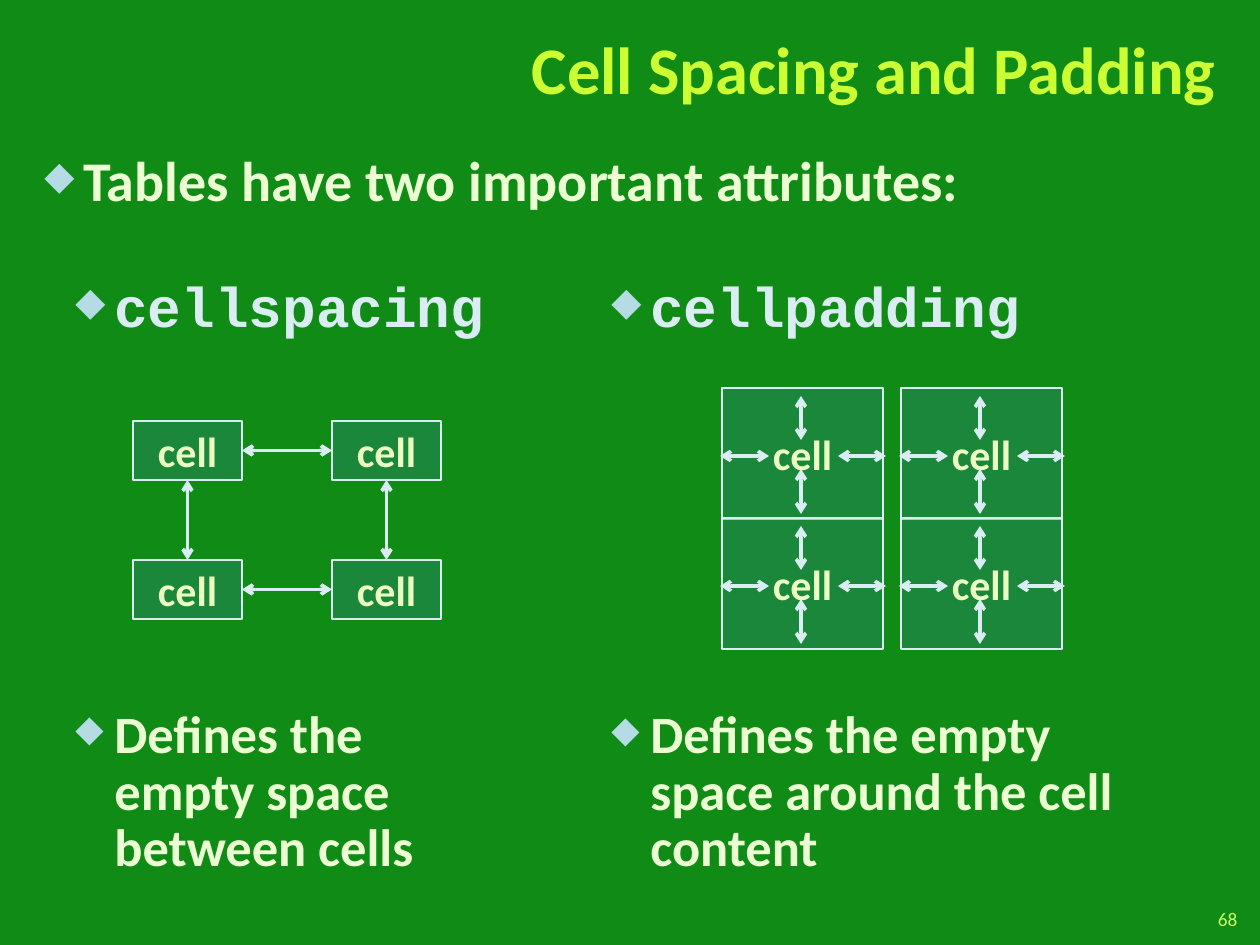
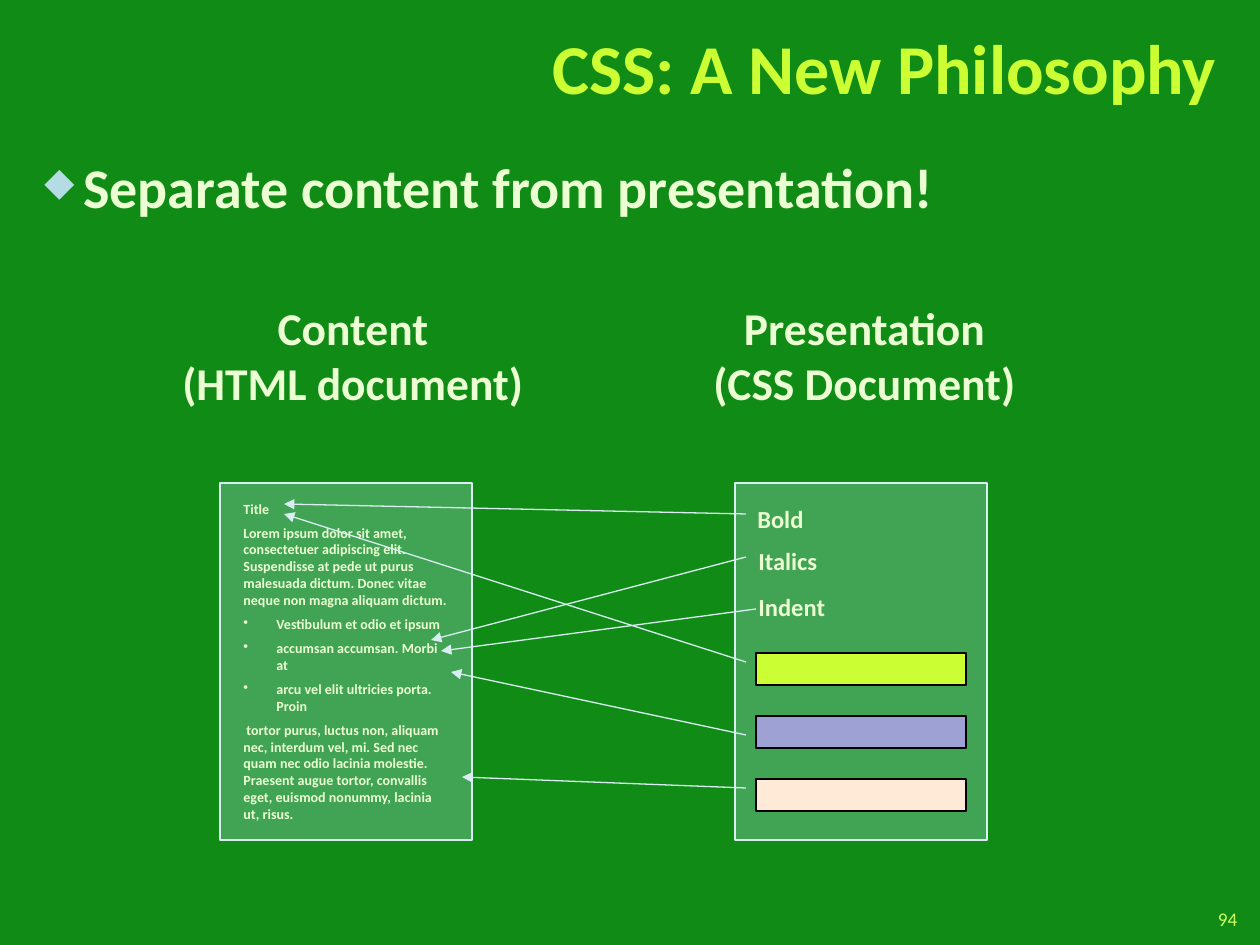
from dataclasses import dataclass
from itertools import product

from lxml import etree
from pptx import Presentation, util as u
from pptx.dml import color
from pptx.enum import shapes, text
from pptx.oxml import ns

PX = 914400 / 126


@dataclass(frozen=True)
class Theme:
    """Colours, fonts and type sizes of the deck."""
    back: str = "108C16"
    title: str = "CCFF33"
    page: str = "CCFF66"
    body: str = "EBFFD2"
    cell: str = "EBFFC2"
    pale: str = "DAEDF2"
    mark: str = "B5DBE5"
    teal: str = "337D8F"
    lilac: str = "9DA1D4"
    peach: str = "FFEAD8"
    black: str = "000000"
    sans: str = "Calibri"
    mono: str = "Courier New"
    lead: int = 32
    note: int = 30
    head: int = 26
    inner: int = 24
    label: int = 14
    foot: int = 11
    tiny: int = 8


T = Theme()
LIST = dict(bullet="◆", hang=39, line_spacing=0.9, space_after=u.Pt(6))
MID = text.MSO_ANCHOR.MIDDLE
CENTER, RIGHT = text.PP_ALIGN.CENTER, text.PP_ALIGN.RIGHT


def px(n):
    """Turn pixels into EMU."""
    return u.Emu(round(n * PX))


def rgb(code):
    """Make a colour from its hex code."""
    return color.RGBColor.from_string(code)


def put(item, vals):
    """Set each attribute named in a dict."""
    for name, val in vals.items():
        setattr(item, name, val)


def sub(node, tag, **attrs):
    """Append a drawing element and return it."""
    return etree.SubElement(node, ns.qn(f"a:{tag}"), attrs)


def mark(para, char, hang, tint):
    """Give a paragraph a hanging bullet."""
    props = para._p.get_or_add_pPr()
    put_in = {"marL": px(hang), "indent": -px(hang)}
    for name, val in put_in.items():
        props.set(name, str(int(val)))
    if char == "◆":
        sub(sub(props, "buClr"), "srgbClr", val=tint)
        sub(props, "buSzPct", val="70000")
    sub(props, "buChar", char=char)


def write(para, words, size, ink=T.body, face=T.sans, bold=True,
          bullet=None, hang=0, indent=0, **form):
    """Fill a paragraph with one formatted run."""
    if bullet:
        mark(para, bullet, hang, T.mark)
    elif indent:
        para._p.get_or_add_pPr().set("indent", str(int(px(indent))))
    put(para, form)
    run = para.add_run()
    run.text = words
    put(run.font, dict(size=u.Pt(size), name=face, bold=bold))
    run.font.color.rgb = rgb(ink)


def box(slide, area, paras, wrap=True, **frame):
    """Add a text box from (words, size, format) entries."""
    body = slide.shapes.add_textbox(*map(px, area)).text_frame
    put(body, dict(word_wrap=wrap, **frame))
    for i, (words, size, form) in enumerate(paras):
        para = body.add_paragraph() if i else body.paragraphs[0]
        write(para, words, size, **form)


def rect(slide, area, fill, edge=T.pale, alpha=None):
    """Add an outlined rectangle, see-through if alpha is given."""
    shape = slide.shapes.add_shape(shapes.MSO_SHAPE.RECTANGLE, *map(px, area))
    shape.shadow.inherit = False
    shape.fill.solid()
    shape.fill.fore_color.rgb = rgb(fill)
    if alpha:
        tint = shape.element.spPr.find(ns.qn("a:solidFill"))[0]
        sub(tint, "alpha", val=str(alpha * 1000))
    shape.line.color.rgb = rgb(edge)
    shape.line.width = u.Pt(0.75)
    return shape


def cell(slide, area, **pads):
    """Add a table cell with its word in the middle."""
    shape = rect(slide, area, T.teal, alpha=30)
    put(shape.text_frame, dict(word_wrap=False, vertical_anchor=MID, **pads))
    write(shape.text_frame.paragraphs[0], "cell", T.inner, T.cell,
          alignment=CENTER)
    return shape


def arrow(slide, ends, width, tail, head=None):
    """Add a straight line with arrowheads."""
    line = slide.shapes.add_connector(
        shapes.MSO_CONNECTOR.STRAIGHT, *map(px, ends))
    line.line.color.rgb = rgb(T.pale)
    line.line.width = u.Pt(width)
    props = line.element.spPr
    edge = props.find(ns.qn("a:ln"))
    if head:
        sub(edge, "headEnd", type=head)
    sub(edge, "tailEnd", type=tail)
    sub(props, "effectLst")
    return line


def join(slide, start, side, end, port):
    """Link two cells with a double arrow."""
    line = arrow(slide, (0, 0, 9, 9), 2, "arrow", "arrow")
    line.begin_connect(start, side)
    line.end_connect(end, port)


def page(deck, title, size, number):
    """Add a slide with its title and page number."""
    slide = deck.slides.add_slide(deck.slide_layouts[5])
    head = slide.shapes.title
    put(head, dict(zip(("left", "top", "width", "height"),
                       map(px, (252, 10, 977, 126)))))
    put(head.text_frame, dict(word_wrap=True, vertical_anchor=MID,
                              auto_size=text.MSO_AUTO_SIZE.NONE))
    write(head.text_frame.paragraphs[0], title, size, T.title,
          alignment=RIGHT, line_spacing=u.Pt(40))
    foot = dict(ink=T.page, bold=False, alignment=RIGHT)
    box(slide, (1187, 903, 63, 32), [(number, T.foot, foot)],
        vertical_anchor=MID)
    return slide


def spaced(slide):
    """Draw four cells with arrows in the gaps between them."""
    grid = {(r, c): cell(slide, (133 + 199 * c, 421 + 139 * r, 109, 59))
            for r, c in product(range(2), repeat=2)}
    for i in range(2):
        join(slide, grid[i, 0], 3, grid[i, 1], 1)
        join(slide, grid[0, i], 2, grid[1, i], 0)


def padded(slide):
    """Draw four cells with arrows around each word."""
    pads = dict(margin_left=px(49), margin_right=px(49),
                margin_top=px(39), margin_bottom=px(39))
    spans = ((79, 81, 79, 126), (-2, 68, 47, 68),
             (116, 68, 164, 68), (79, 8, 79, 52))
    for c, r in product(range(2), repeat=2):
        x, y = 722 + 179 * c, 388 + 130 * r
        cell(slide, (x, y, 161, 131), **pads)
        for x1, y1, x2, y2 in spans:
            arrow(slide, (x + x1, y + y1, x + x2, y + y2), 2,
                  "arrow", "arrow")


def tables(deck):
    """Build the slide on cell spacing and padding."""
    slide = page(deck, "Cell Spacing and Padding", 38, "68")
    box(slide, (32, 147, 1197, 74),
        [("Tables have two important attributes:", T.lead, LIST)])
    columns = (
        ((599, 273, 588, 609), "cellpadding",
         "Defines the empty space around the cell content"),
        ((63, 273, 462, 630), "cellspacing",
         "Defines the empty space between cells"),
    )
    for area, term, sense in columns:
        box(slide, area, [
            (term, T.lead, dict(LIST, ink=T.pale, face=T.mono)),
            (sense, T.note, dict(LIST, space_before=u.Pt(204.5)))])
    spaced(slide)
    padded(slide)


def sample(slide):
    """Write the sample document."""
    gap = dict(space_before=u.Pt(4.2))
    item = dict(gap, bullet="•", hang=33)
    paras = (
        ("Title", {}),
        ("Lorem ipsum dolor sit amet, consectetuer adipiscing elit. "
         "Suspendisse at pede ut purus malesuada dictum. Donec vitae "
         "neque non magna aliquam dictum.", gap),
        ("Vestibulum et odio et ipsum", item),
        ("accumsan accumsan. Morbi at", item),
        ("arcu vel elit ultricies porta. Proin", item),
        ("tortor purus, luctus non, aliquam nec, interdum vel, mi. Sed nec "
         "quam nec odio lacinia molestie. Praesent augue tortor, convallis "
         "eget, euismod nonummy, lacinia ut, risus.", dict(gap, indent=3)),
    )
    box(slide, (231, 494, 231, 326), [(w, T.tiny, f) for w, f in paras])


def styles(deck):
    """Build the slide on content and presentation."""
    slide = page(deck, "CSS: A New Philosophy", 40, "94")
    lead = dict(LIST, line_spacing=u.Pt(38))
    box(slide, (32, 147, 1197, 777),
        [("Separate content from presentation!", T.lead, lead)])
    for x in (220, 735):
        rect(slide, (x, 483, 252, 357), T.mark, alpha=30)
    sample(slide)
    for i, fill in enumerate((T.title, T.lilac, T.peach)):
        rect(slide, (756, 653 + 63 * i, 210, 32), fill, T.black)
    labels = (("Bold", 745, 498, 74), ("Italics", 746, 540, 88),
              ("Indent", 746, 586, 96))
    for word, x, y, w in labels:
        box(slide, (x, y, w, 42), [(word, T.label, {})], wrap=False)
    heads = ((160, 386, "Content", "(HTML document)"),
             (690, 349, "Presentation", "(CSS Document)"))
    for x, w, *lines in heads:
        box(slide, (x, 294, w, 123),
            [(line, T.head, dict(alignment=CENTER)) for line in lines],
            wrap=False)
    links = ((746, 514, 284, 504), (746, 557, 431, 640),
             (756, 609, 441, 651), (746, 662, 284, 514),
             (746, 735, 451, 672), (746, 788, 462, 777))
    for ends in links:
        arrow(slide, ends, 0.75, "triangle")


def main():
    """Build and save the deck."""
    deck = Presentation()
    put(deck, dict(slide_width=px(1260), slide_height=px(945)))
    back = deck.slide_master.background.fill
    back.solid()
    back.fore_color.rgb = rgb(T.back)
    tables(deck)
    styles(deck)
    deck.save("out.pptx")


if __name__ == "__main__":
    main()
